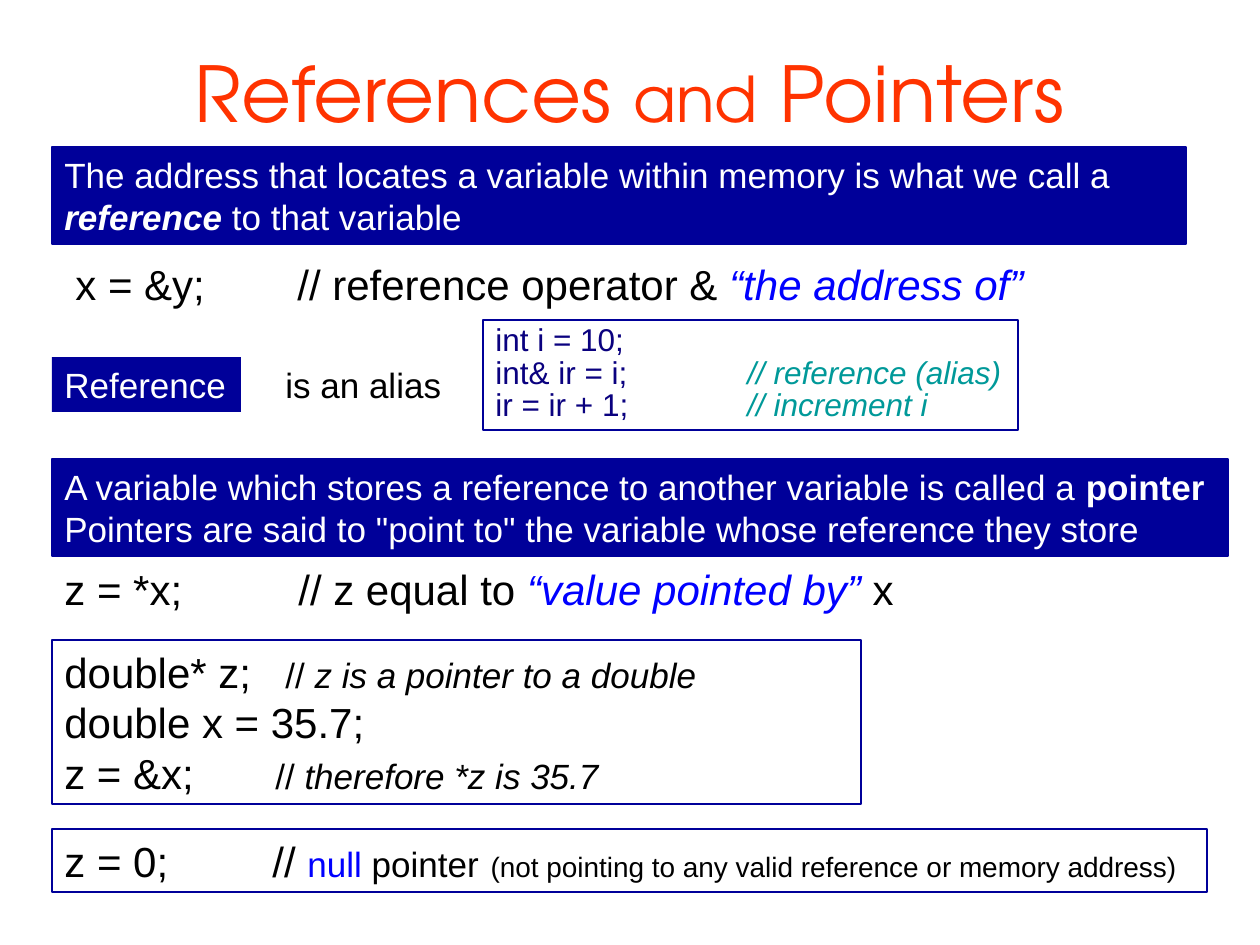
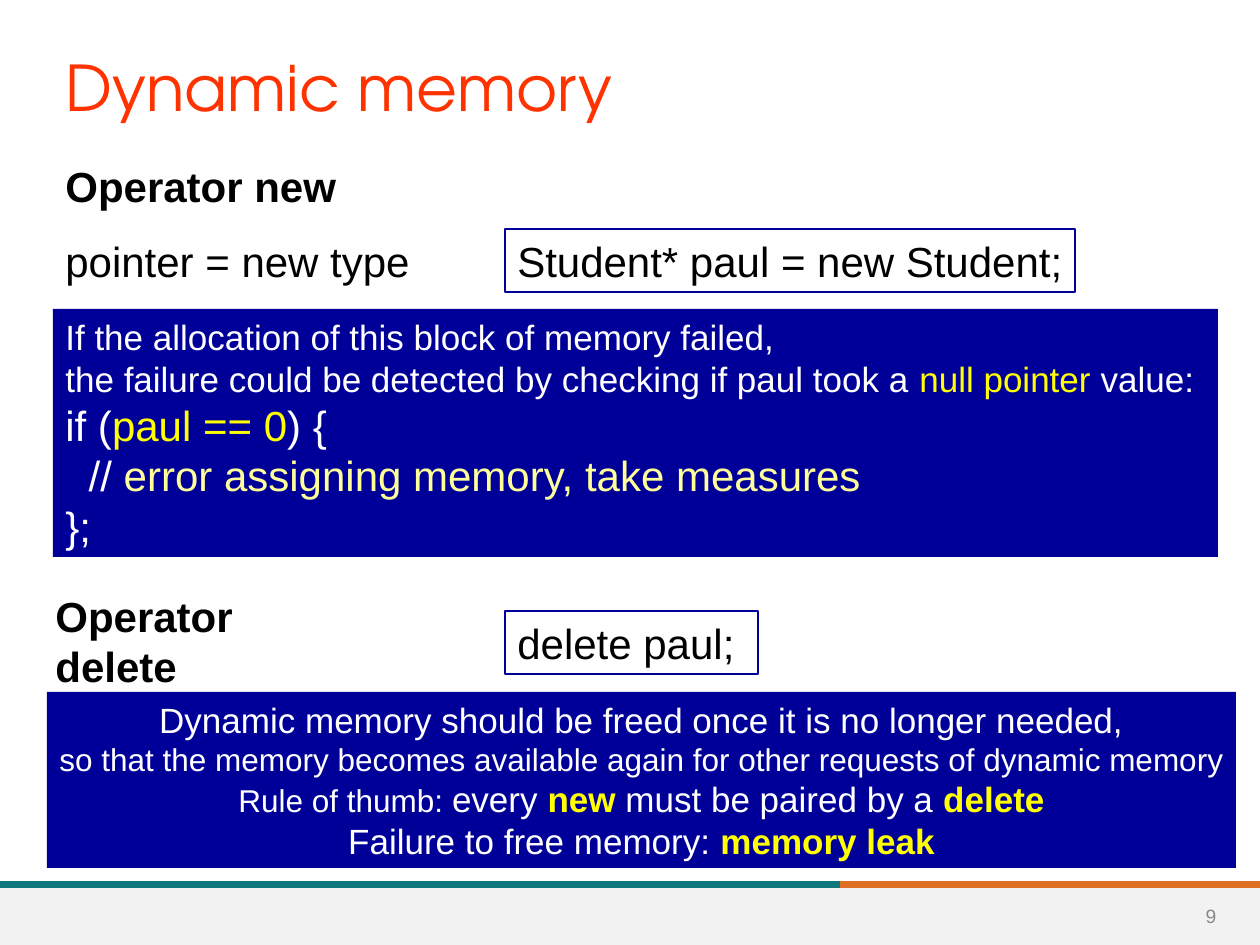
"""Build two slides on references, pointers and dynamic memory in C++."""
from lxml import etree
from pptx import Presentation
from pptx.dml.color import RGBColor
from pptx.enum.shapes import MSO_CONNECTOR, MSO_SHAPE
from pptx.enum.text import MSO_ANCHOR, PP_ALIGN
from pptx.oxml.ns import qn
from pptx.util import Emu, Pt

RECT = MSO_SHAPE.RECTANGLE
LINE = MSO_CONNECTOR.STRAIGHT
LEFT, MID = PP_ALIGN.LEFT, PP_ALIGN.CENTER
TOP, CENTER = MSO_ANCHOR.TOP, MSO_ANCHOR.MIDDLE

THEME = {
    "head": "TeX Gyre Adventor",
    "body": "Arial",
    "hues": {
        "red": "FF3300", "navy": "000099", "white": "FFFFFF",
        "black": "000000", "blue": "0000FF", "ink": "0A017F",
        "teal": "009999", "yellow": "FFFF00", "cream": "FFFF99",
        "grey": "898989", "pale": "F2F2F2", "sea": "0F787D",
        "rust": "DF7023",
    },
    "looks": {
        "edged": ("navy", "navy"), "band": ("navy", None),
        "code": (None, "navy"), "foot": ("pale", None), "plain": None,
    },
    "sizes": {"huge": 44, "large": 36, "big": 24, "mid": 20,
              "small": 18, "note": 16, "page": 11},
    "rule": 4,
    "edge": 1,
}

SLIDES = [
    {
        "title": [("References ", "huge red"), ("and", "large red"),
                  (" Pointers", "huge red")],
        "place": (94, 47, 1071, 89),
        "align": MID,
        "boxes": [
            ("edged", (52, 147, 1134, 97), [
                [("The address that locates a variable within memory is "
                  "what we call a ", "mid white"),
                 ("reference", "mid white bold italic"),
                 (" to that variable", "mid white")],
            ], {}),
            ("plain", (63, 252, 974, 63), [
                [("x = &y;\t// reference operator & ", "big black"),
                 ("“the address of”", "big blue italic")],
            ], {"wrap": False, "tabs": {0: 222}}),
            ("edged", (52, 459, 1176, 97), [
                [("A variable which stores a reference to another variable "
                  "is called a ", "mid white"),
                 ("pointer", "mid white bold")],
                [("Pointers are said to \"point to\" the variable whose "
                  "reference they store", "mid white")],
            ], {}),
            ("plain", (52, 557, 878, 63), [
                [("z = *x;\t// z equal to ", "big black"),
                 ("“value pointed by”", "big blue italic"),
                 (" x", "big black")],
            ], {"wrap": False, "tabs": {0: 234}}),
            ("code", (52, 640, 809, 164), [
                [("double* z;\t", "big black"), ("// ", "mid black"),
                 ("z is a pointer to a double", "mid black italic")],
                [("double x = 35.7;", "big black")],
                [("z = &x;\t", "big black"), ("// ", "mid black"),
                 ("therefore *z is 35.7", "mid black italic")],
            ], {"tabs": {0: 221, 2: 211}}),
            ("code", (52, 829, 1155, 63), [
                [("z = 0;\t// ", "big black"), ("null", "mid blue"),
                 (" pointer", "mid black"), (" ", "big black"),
                 ("(not pointing to any valid reference or memory address)",
                  "note black")],
            ], {"tabs": {0: 208}}),
            ("band", (52, 357, 189, 55), [
                [("Reference", "mid white")],
            ], {}),
            ("code", (483, 320, 535, 110), [
                [("int i = 10;", "small ink")],
                [("int& ir = i;\t", "small ink"),
                 ("// reference (alias)", "small teal italic")],
                [("ir = ir + 1;\t", "small ink"),
                 ("// increment i", "small teal italic")],
            ], {"lead": 0.85, "anchor": TOP, "tabs": {1: 252, 2: 252}}),
            ("plain", (273, 357, 199, 55), [
                [("is an alias", "mid black")],
            ], {}),
        ],
    },
    {
        "title": [("Dynamic memory", "large red")],
        "place": (53, 42, 1071, 89),
        "align": LEFT,
        "page": "9",
        "boxes": [
            ("plain", (53, 154, 307, 63), [
                [("Operator new", "big black bold")],
            ], {"wrap": False}),
            ("plain", (53, 229, 380, 63), [
                [("pointer = new type", "big black")],
            ], {"wrap": False}),
            ("code", (505, 229, 570, 63), [
                [("Student* paul = new Student;", "big black")],
            ], {"wrap": False, "align": MID}),
            ("band", (53, 309, 1165, 248), [
                [("If the allocation of this block of memory failed,",
                  "mid white")],
                [("the failure could be detected by checking if paul took a ",
                  "mid white"),
                 ("null pointer", "mid yellow"), (" value:", "mid white")],
                [("if (", "big white"), ("paul == 0", "big yellow"),
                 (") {", "big white")],
                [("  // ", "big white"),
                 ("error assigning memory, take measures", "big cream")],
                [("};", "big white")],
            ], {}),
            ("plain", (43, 609, 335, 63), [
                [("Operator delete", "big black bold")],
            ], {"wrap": False}),
            ("code", (505, 611, 253, 63), [
                [("delete paul;", "big black")],
            ], {}),
            ("band", (47, 692, 1189, 176), [
                [("Dynamic memory should be freed once it is no longer "
                  "needed,", "mid white")],
                [("so that the memory becomes available again for other "
                  "requests of dynamic memory", "small white")],
                [("Rule of thumb: ", "small white"), ("every ", "mid white"),
                 ("new ", "mid yellow bold"),
                 ("must be paired by a ", "mid white"),
                 ("delete", "mid yellow bold")],
                [("Failure to free memory:", "mid white"),
                 (" memory leak", "mid yellow bold")],
            ], {"wrap": False, "align": MID}),
        ],
    },
]

WIDE, HIGH = 1260, 945
RULES = [("rust", 840, WIDE), ("sea", 0, 840)]
RULE_Y = 885
FOOT = (0, 888, WIDE, 57)
PAGE = (1178, 891, 66, 50)


def px(num):
    """Turn px into EMU."""
    return Emu(round(num * 914400 / 126))


def hue(name):
    """Look up a theme colour."""
    return RGBColor.from_string(THEME["hues"][name])


def apply(item, form):
    """Set each format value on an item."""
    for name, val in form.items():
        setattr(item, name, val)


def add_run(para, text, style, face):
    """Add a run styled by size, colour and optional weight words."""
    size, tint, *marks = style.split()
    run = para.add_run()
    run.text = text
    apply(run.font, {"name": face, "size": Pt(THEME["sizes"][size]),
                     "bold": "bold" in marks, "italic": "italic" in marks})
    run.font.color.rgb = hue(tint)


def add_tab(para, pos):
    """Give a paragraph one left tab stop."""
    stops = etree.SubElement(para._p.get_or_add_pPr(), qn("a:tabLst"))
    etree.SubElement(stops, qn("a:tab"), pos=str(px(pos)), algn="l")


def write(frame, paras, face, align=LEFT, anchor=CENTER, wrap=True,
          lead=None, tabs=None):
    """Fill a text frame with paragraphs of styled runs."""
    apply(frame, {"word_wrap": wrap, "vertical_anchor": anchor})
    for num, runs in enumerate(paras):
        para = frame.add_paragraph() if num else frame.paragraphs[0]
        apply(para, {"alignment": align, "line_spacing": lead})
        if tabs and num in tabs:
            add_tab(para, tabs[num])
        for text, style in runs:
            add_run(para, text, style, face)


def add_box(slide, look, place, paras=(), form=None):
    """Add a text box, or a rectangle with its fill and edge."""
    spot = [px(num) for num in place]
    paint = THEME["looks"][look]
    if paint is None:
        box = slide.shapes.add_textbox(*spot)
    else:
        box = slide.shapes.add_shape(RECT, *spot)
        box.shadow.inherit = False
        for fill, tint in zip((box.fill, box.line.fill), paint):
            if tint:
                fill.solid()
                fill.fore_color.rgb = hue(tint)
            else:
                fill.background()
        if paint[1]:
            box.line.width = Pt(THEME["edge"])
    write(box.text_frame, paras, THEME["body"], **(form or {}))


def add_foot(slide, page):
    """Draw the two-colour rule, the footer band and the page number."""
    for tint, start, end in RULES:
        rule = slide.shapes.add_connector(
            LINE, px(start), px(RULE_Y), px(end), px(RULE_Y))
        rule.line.color.rgb = hue(tint)
        rule.line.width = Pt(THEME["rule"])
        etree.SubElement(rule._element.spPr, qn("a:effectLst"))
    add_box(slide, "foot", FOOT)
    add_box(slide, "plain", PAGE, [[(page, "page grey")]], {"align": MID})


def main():
    """Build and save the deck."""
    deck = Presentation()
    apply(deck, {"slide_width": px(WIDE), "slide_height": px(HIGH)})
    for data in SLIDES:
        slide = deck.slides.add_slide(deck.slide_layouts[5])
        if "page" in data:
            add_foot(slide, data["page"])
        title = slide.shapes.title
        names = ("left", "top", "width", "height")
        apply(title, dict(zip(names, map(px, data["place"]))))
        write(title.text_frame, [data["title"]], THEME["head"], data["align"])
        for box in data["boxes"]:
            add_box(slide, *box)
    deck.save("out.pptx")


if __name__ == "__main__":
    main()
